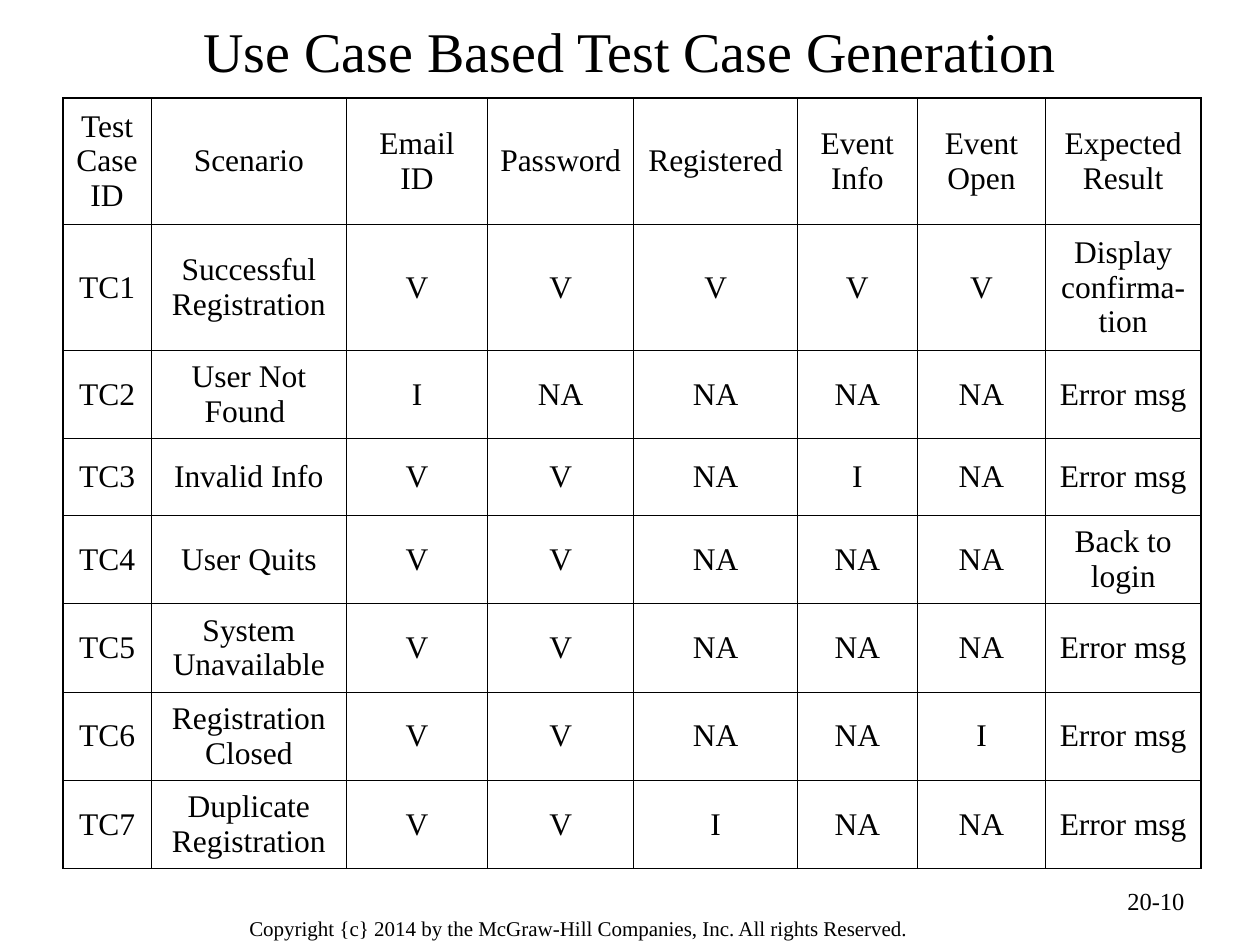
from lxml import etree
from pptx import Presentation
from pptx.dml import color
from pptx.enum import text
from pptx.oxml import ns
from pptx.util import Inches, Pt

FONT = "Times New Roman"
BLACK = "000000"
INNER, OUTER = 0.45, 1.08
COLUMN_WIDTHS = [0.7, 1.55, 1.12, 1.16, 1.3, 0.95, 1.02, 1.23]
ROW_HEIGHTS = [1, 1, 0.7, 0.61, 0.7, 0.7, 0.7, 0.7]
TEST_CASES = [
    ["Test Case ID", "Scenario", "Email ID", "Password", "Registered",
     "Event Info", "Event Open", "Expected Result"],
    ["TC1", "Successful Registration", "V", "V", "V", "V", "V", "Display confirma-tion"],
    ["TC2", "User Not Found ", "I", "NA", "NA", "NA", "NA", "Error msg"],
    ["TC3", "Invalid Info", "V", "V", "NA", "I", "NA", "Error msg"],
    ["TC4", "User Quits", "V", "V", "NA", "NA", "NA", "Back to login"],
    ["TC5", "System Unavailable", "V", "V", "NA", "NA", "NA", "Error msg"],
    ["TC6", "Registration Closed", "V", "V", "NA", "NA", "I", "Error msg"],
    ["TC7", "Duplicate Registration", "V", "V", "I", "NA", "NA", "Error msg"],
]


def rgb(value):
    return color.RGBColor.from_string(value)


def write(frame, words, size, align):
    paragraph = frame.paragraphs[0]
    paragraph.alignment = align
    run = paragraph.add_run()
    run.text = words
    run.font.name = FONT
    run.font.size = Pt(size)
    run.font.color.rgb = rgb(BLACK)


def add_title(slide, words):
    title = slide.shapes.title
    title.left, title.top = Inches(0.5), Inches(0.01)
    title.width, title.height = Inches(9), Inches(0.77)
    title.text_frame.auto_size = text.MSO_AUTO_SIZE.NONE
    title.text_frame.vertical_anchor = text.MSO_ANCHOR.MIDDLE
    write(title.text_frame, words, 32, text.PP_ALIGN.CENTER)


def add_footer(slide, words, place, size, align):
    frame = slide.shapes.add_textbox(*map(Inches, place)).text_frame
    frame.word_wrap = True
    write(frame, words, size, align)


def set_border(cell, side, width):
    properties = cell._tc.get_or_add_tcPr()
    line = etree.SubElement(properties, ns.qn(f"a:ln{side}"), w=str(Pt(width)))
    fill = etree.SubElement(line, ns.qn("a:solidFill"))
    etree.SubElement(fill, ns.qn("a:srgbClr"), val=BLACK)


def add_test_cases(slide):
    row_count, column_count = len(ROW_HEIGHTS), len(COLUMN_WIDTHS)
    table = slide.shapes.add_table(
        row_count, column_count, Inches(0.5), Inches(0.78),
        Inches(sum(COLUMN_WIDTHS)), Inches(sum(ROW_HEIGHTS))).table
    table.first_row = table.horz_banding = False
    for column, width in zip(table.columns, COLUMN_WIDTHS):
        column.width = Inches(width)
    for row, height in zip(table.rows, ROW_HEIGHTS):
        row.height = Inches(height)
    for r, entries in enumerate(TEST_CASES):
        for c, entry in enumerate(entries):
            cell = table.cell(r, c)
            edges = {"L": c == 0, "R": c == column_count - 1,
                     "T": r == 0, "B": r == row_count - 1}
            for side, is_outer in edges.items():
                set_border(cell, side, OUTER if is_outer else INNER)
            cell.fill.background()
            cell.vertical_anchor = text.MSO_ANCHOR.MIDDLE
            write(cell.text_frame, entry, 18, text.PP_ALIGN.CENTER)


def main():
    deck = Presentation()
    deck.slide_width, deck.slide_height = Inches(10), Inches(7.5)
    slide = deck.slides.add_slide(deck.slide_layouts[5])
    add_footer(slide, "Copyright {c} 2014 by the McGraw-Hill Companies, Inc. All rights Reserved.",
               (1.88, 7.22, 6.19, 0.31), 12, text.PP_ALIGN.LEFT)
    add_footer(slide, "20-10", (7.17, 6.98, 2.33, 0.52), 14, text.PP_ALIGN.RIGHT)
    add_title(slide, "Use Case Based Test Case Generation")
    add_test_cases(slide)
    deck.save("out.pptx")


if __name__ == "__main__":
    main()
